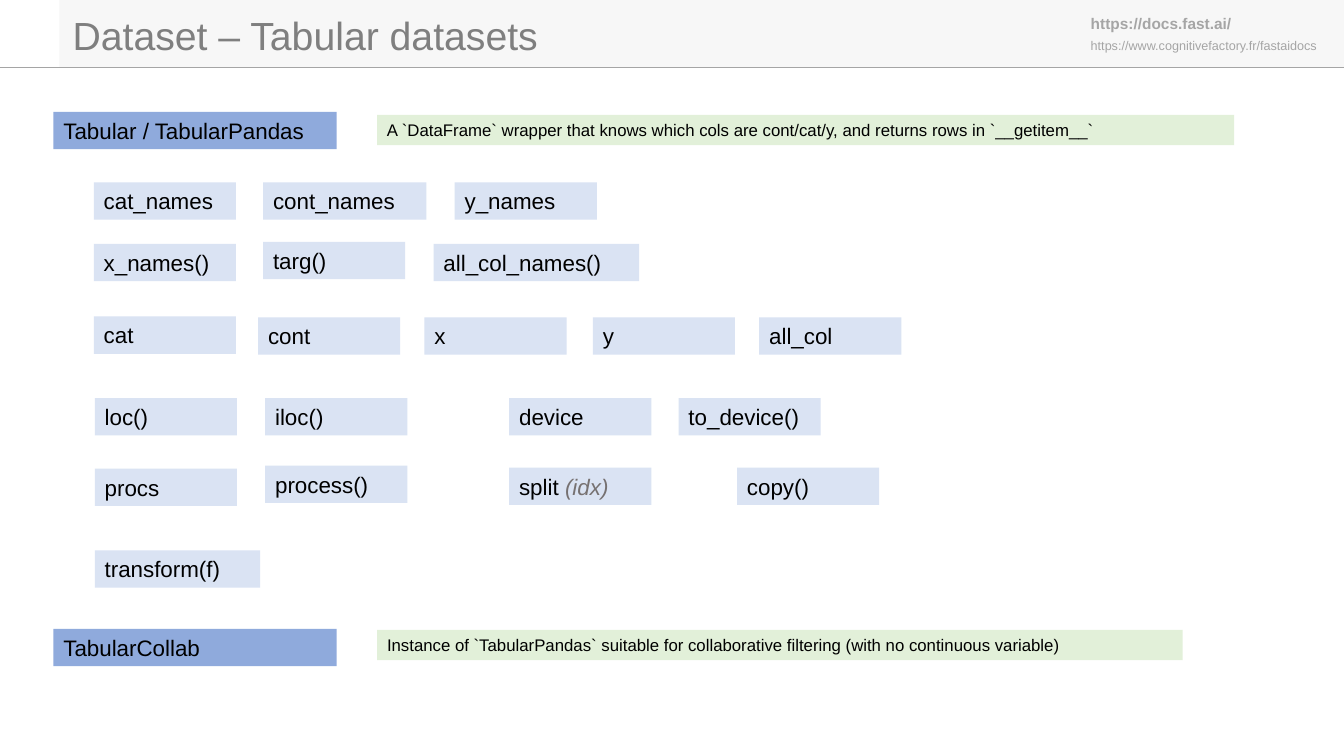
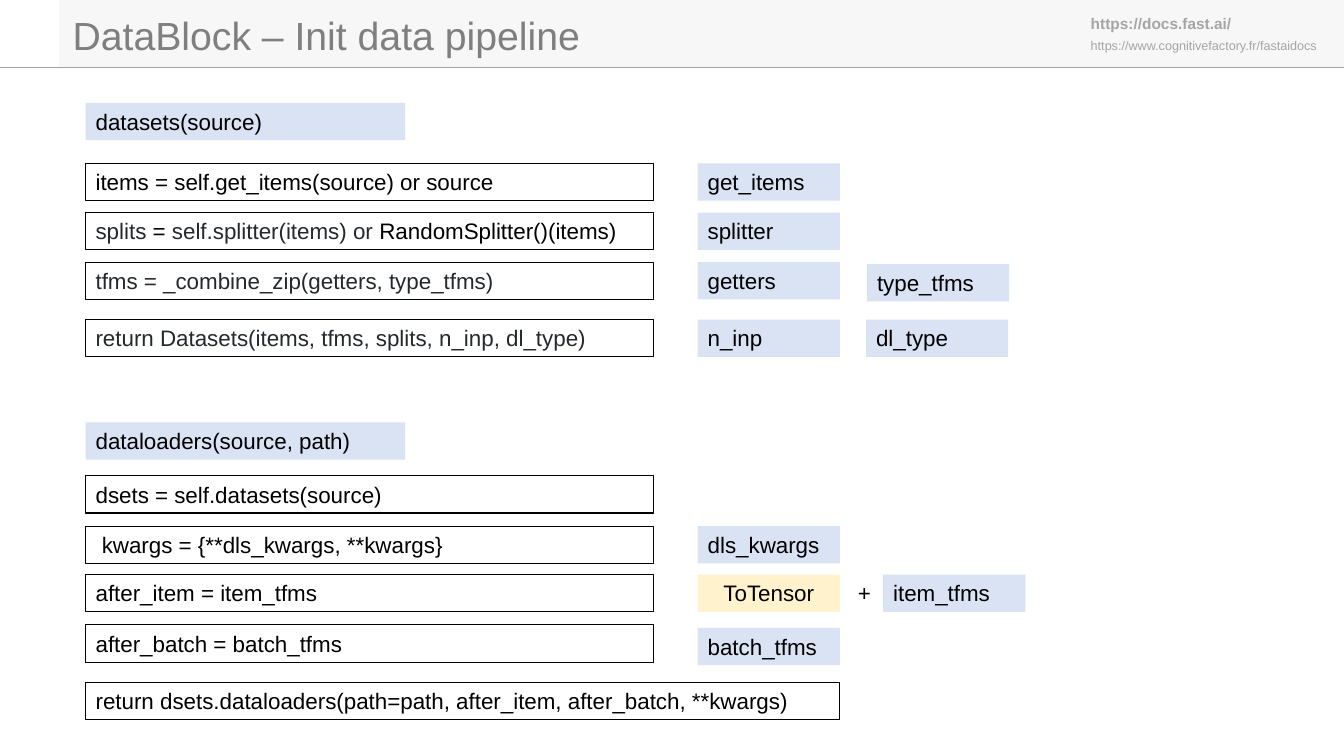
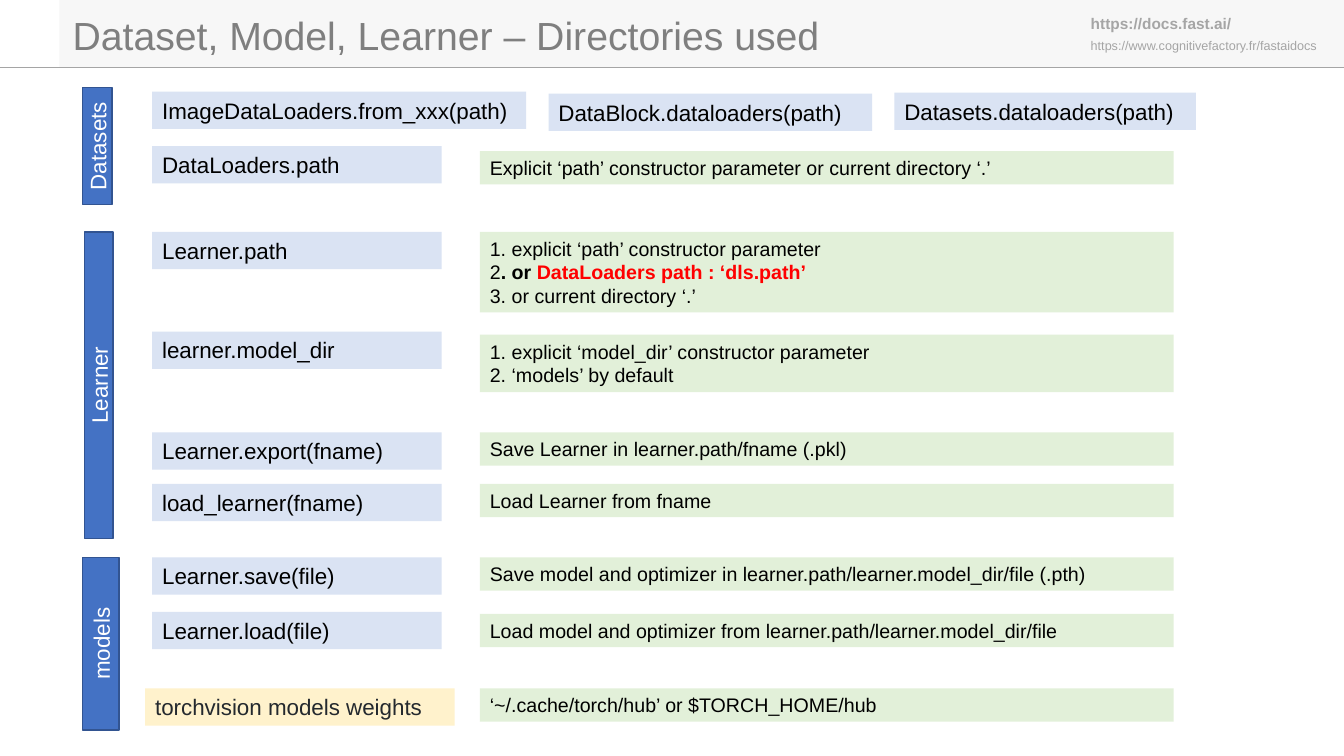
from dataclasses import dataclass
from typing import NamedTuple, Optional, Union

import lxml.etree
import pptx
import pptx.dml.color
import pptx.enum.shapes
import pptx.enum.text
import pptx.oxml.ns
import pptx.presentation
import pptx.shapes.autoshape
import pptx.slide
import pptx.text.text
import pptx.util

Inches = pptx.util.Inches
RGBColor = pptx.dml.color.RGBColor
Align = pptx.enum.text.PP_ALIGN
Anchor = pptx.enum.text.MSO_ANCHOR
AutoSize = pptx.enum.text.MSO_AUTO_SIZE

FONT = "Arial"
BLACK = RGBColor(0x00, 0x00, 0x00)
WHITE = RGBColor(0xFF, 0xFF, 0xFF)
CODE_INK = RGBColor(0x24, 0x29, 0x2E)
TITLE_GREY = RGBColor(0x7F, 0x7F, 0x7F)
LINK_GREY = RGBColor(0xA5, 0xA5, 0xA5)
HINT_GREY = RGBColor(0x76, 0x71, 0x71)
BAND_GREY = RGBColor(0xF7, 0xF7, 0xF7)
CLASS_BLUE = RGBColor(0x8F, 0xAA, 0xDC)
MEMBER_BLUE = RGBColor(0xDA, 0xE3, 0xF3)
NOTE_GREEN = RGBColor(0xE2, 0xF0, 0xD9)
EXTERNAL_YELLOW = RGBColor(0xFF, 0xF2, 0xCC)
TAB_BLUE = RGBColor(0x44, 0x72, 0xC4)
TAB_EDGE = RGBColor(0x32, 0x54, 0x91)
ALERT_RED = RGBColor(0xFF, 0x00, 0x00)

SLIDE_WIDTH = 13.33
BAND_HEIGHT = 0.67
MEMBER_WIDTH = 1.41


class Run(NamedTuple):
    text: str
    color: Optional[RGBColor] = None
    bold: Optional[bool] = None
    italic: Optional[bool] = None


Paragraph = Union[str, tuple[Run, ...]]


@dataclass(frozen=True)
class Style:
    fill: Optional[RGBColor] = None
    line: Optional[RGBColor] = None
    line_width: float = 0.75
    size: float = 16
    color: RGBColor = BLACK
    align: Align = Align.LEFT


@dataclass(frozen=True)
class Box:
    left: float
    top: float
    width: float
    paragraphs: tuple[Paragraph, ...]
    style: Style


class SideTab(NamedTuple):
    text: str
    left: float
    top: float
    width: float
    height: float


BAND = Style(fill=BAND_GREY)
CLASS = Style(fill=CLASS_BLUE)
MEMBER = Style(fill=MEMBER_BLUE)
SHORT_NOTE = Style(fill=NOTE_GREEN, size=12)
NOTE = Style(fill=NOTE_GREEN, size=14)
STATEMENT = Style(line=BLACK)
DARK_STATEMENT = Style(line=BLACK, color=CODE_INK)
TRANSFORM = Style(fill=EXTERNAL_YELLOW, align=Align.CENTER)
WEIGHTS = Style(fill=EXTERNAL_YELLOW, color=CODE_INK)
TAB = Style(fill=TAB_BLUE, line=TAB_EDGE, line_width=1, color=WHITE, align=Align.CENTER)


def write_text(
    frame: pptx.text.text.TextFrame,
    *paragraphs: Paragraph,
    size: float = 16,
    color: RGBColor = BLACK,
    bold: bool = False,
    align: Align = Align.LEFT,
    anchor: Anchor = Anchor.TOP,
    wrap: bool = True,
    grow: bool = True,
) -> None:
    frame.word_wrap = wrap
    frame.auto_size = AutoSize.SHAPE_TO_FIT_TEXT if grow else AutoSize.NONE
    frame.vertical_anchor = anchor
    for index, content in enumerate(paragraphs):
        paragraph = frame.add_paragraph() if index else frame.paragraphs[0]
        paragraph.alignment = align
        for part in (Run(content),) if isinstance(content, str) else content:
            run = paragraph.add_run()
            run.text = part.text
            font = run.font
            font.name = FONT
            font.size = pptx.util.Pt(size)
            font.color.rgb = part.color or color
            font.bold = bold if part.bold is None else part.bold
            font.italic = part.italic


def add_rectangle(
    slide: pptx.slide.Slide, left: float, top: float, width: float, height: float, style: Style
) -> pptx.shapes.autoshape.Shape:
    rectangle = slide.shapes.add_shape(
        pptx.enum.shapes.MSO_SHAPE.RECTANGLE,
        Inches(left), Inches(top), Inches(width), Inches(height),
    )
    rectangle.shadow.inherit = False
    if style.fill is None:
        rectangle.fill.background()
    else:
        rectangle.fill.solid()
        rectangle.fill.fore_color.rgb = style.fill
    if style.line is None:
        rectangle.line.fill.background()
    else:
        rectangle.line.color.rgb = style.line
        rectangle.line.width = pptx.util.Pt(style.line_width)
    return rectangle


def add_box(slide: pptx.slide.Slide, box: Box) -> None:
    style = box.style
    height = round(0.1 + len(box.paragraphs) * style.size * 1.2 / 72, 2)
    rectangle = add_rectangle(slide, box.left, box.top, box.width, height, style)
    write_text(
        rectangle.text_frame, *box.paragraphs,
        size=style.size, color=style.color, align=style.align,
    )


def add_side_tab(slide: pptx.slide.Slide, tab: SideTab) -> None:
    shift = (tab.height - tab.width) / 2
    rectangle = add_rectangle(
        slide, tab.left - shift, tab.top + shift, tab.height, tab.width, TAB
    )
    rectangle.rotation = 270
    write_text(
        rectangle.text_frame, tab.text,
        color=TAB.color, align=TAB.align, anchor=Anchor.MIDDLE, grow=False,
    )


def add_plain_text(
    slide: pptx.slide.Slide, text: str, left: float, top: float, width: float, height: float,
    size: float = 16, color: RGBColor = BLACK, bold: bool = False, wrap: bool = True,
) -> None:
    textbox = slide.shapes.add_textbox(
        Inches(left), Inches(top), Inches(width), Inches(height)
    )
    write_text(textbox.text_frame, text, size=size, color=color, bold=bold, wrap=wrap)


def furnish_layout(layout: pptx.slide.SlideLayout, slide: pptx.slide.Slide) -> None:
    title_type = pptx.enum.shapes.PP_PLACEHOLDER.TITLE
    for placeholder in list(layout.placeholders):
        if placeholder.placeholder_format.type != title_type:
            layout.shapes.element.remove(placeholder.element)
    add_rectangle(slide, 0.59, 0, SLIDE_WIDTH - 0.59, BAND_HEIGHT, BAND)
    rule = slide.shapes.add_connector(
        pptx.enum.shapes.MSO_CONNECTOR.STRAIGHT,
        Inches(0), Inches(BAND_HEIGHT), Inches(SLIDE_WIDTH), Inches(BAND_HEIGHT),
    )
    rule.line.color.rgb = LINK_GREY
    rule.line.width = pptx.util.Pt(0.5)
    lxml.etree.SubElement(rule.element.spPr, pptx.oxml.ns.qn("a:effectLst"))
    add_plain_text(
        slide, "https://www.cognitivefactory.fr/fastaidocs",
        10.72, 0.33, 2.7, 0.25, size=9, color=LINK_GREY,
    )
    add_plain_text(
        slide, "https://docs.fast.ai/",
        10.72, 0.09, 2.67, 0.29, size=11, color=LINK_GREY, bold=True,
    )
    for shape in list(slide.shapes):
        if not shape.is_placeholder:
            layout.shapes.element.append(shape.element)


def add_titled_slide(
    deck: pptx.presentation.Presentation, text: str, width: float
) -> pptx.slide.Slide:
    layout = deck.slide_layouts[5]
    slide = deck.slides.add_slide(layout)
    if len(deck.slides) == 1:
        furnish_layout(layout, slide)
    title = slide.shapes.title
    title.left, title.top = Inches(0.62), Inches(0.06)
    title.width, title.height = Inches(width), Inches(0.57)
    write_text(title.text_frame, text, size=28, color=TITLE_GREY, wrap=False)
    return slide


def build_tabular(deck: pptx.presentation.Presentation) -> None:
    slide = add_titled_slide(deck, "Dataset – Tabular datasets", 4.87)
    classes = [
        ("Tabular / TabularPandas", 1.11, 1.14, 8.5,
         "A `DataFrame` wrapper that knows which cols are cont/cat/y, "
         "and returns rows in `__getitem__`"),
        ("TabularCollab", 6.24, 6.25, 7.99,
         "Instance of `TabularPandas` suitable for collaborative filtering "
         "(with no continuous variable)"),
    ]
    for name, top, note_top, note_width, note in classes:
        add_box(slide, Box(0.53, top, 2.81, (name,), CLASS))
        add_box(slide, Box(3.74, note_top, note_width, (note,), SHORT_NOTE))

    split = (Run("split "), Run("(idx)", color=HINT_GREY, italic=True))
    members = [
        ("cat_names", 0.93, 1.81, MEMBER_WIDTH),
        ("cont_names", 2.61, 1.81, 1.62),
        ("y_names", 4.51, 1.81, MEMBER_WIDTH),
        ("x_names()", 0.93, 2.42, MEMBER_WIDTH),
        ("targ()", 2.61, 2.4, MEMBER_WIDTH),
        ("all_col_names()", 4.3, 2.42, 2.04),
        ("cat", 0.93, 3.14, MEMBER_WIDTH),
        ("cont", 2.56, 3.15, MEMBER_WIDTH),
        ("x", 4.21, 3.15, MEMBER_WIDTH),
        ("y", 5.88, 3.15, MEMBER_WIDTH),
        ("all_col", 7.53, 3.15, MEMBER_WIDTH),
        ("loc()", 0.94, 3.95, MEMBER_WIDTH),
        ("iloc()", 2.63, 3.95, MEMBER_WIDTH),
        ("device", 5.05, 3.95, MEMBER_WIDTH),
        ("to_device()", 6.73, 3.95, MEMBER_WIDTH),
        ("procs", 0.94, 4.65, MEMBER_WIDTH),
        ("process()", 2.63, 4.62, MEMBER_WIDTH),
        (split, 5.05, 4.64, MEMBER_WIDTH),
        ("copy()", 7.31, 4.64, MEMBER_WIDTH),
        ("transform(f)", 0.94, 5.46, 1.64),
    ]
    for member, left, top, width in members:
        add_box(slide, Box(left, top, width, (member,), MEMBER))


def build_pipeline(deck: pptx.presentation.Presentation) -> None:
    slide = add_titled_slide(deck, "DataBlock – Init data pipeline", 5.3)
    for method, top in [("datasets(source)", 1.02), ("dataloaders(source, path)", 4.19)]:
        add_box(slide, Box(0.85, top, 3.17, (method,), MEMBER))

    splits = (
        Run("splits "),
        Run("= ", color=BLACK),
        Run("self.splitter(items) or "),
        Run("RandomSplitter()(items)", color=BLACK),
    )
    statements = [
        ("items = self.get_items(source) or source", 1.62, 5.63, STATEMENT),
        (splits, 2.11, 5.63, DARK_STATEMENT),
        ("tfms = _combine_zip(getters, type_tfms)", 2.6, 5.63, DARK_STATEMENT),
        ("return Datasets(items, tfms, splits, n_inp, dl_type)", 3.17, 5.63, DARK_STATEMENT),
        ("dsets = self.datasets(source)", 4.72, 5.63, STATEMENT),
        (" kwargs = {**dls_kwargs, **kwargs}", 5.22, 5.63, STATEMENT),
        ("after_item = item_tfms", 5.7, 5.63, STATEMENT),
        ("after_batch = batch_tfms", 6.2, 5.63, STATEMENT),
        ("return dsets.dataloaders(path=path, after_item, after_batch, **kwargs)",
         6.77, 7.48, STATEMENT),
    ]
    for statement, top, width, style in statements:
        add_box(slide, Box(0.85, top, width, (statement,), style))

    parameters = [
        ("get_items", 6.92, 1.62, MEMBER),
        ("splitter", 6.92, 2.11, MEMBER),
        ("getters", 6.92, 2.6, MEMBER),
        ("type_tfms", 8.6, 2.62, MEMBER),
        ("n_inp", 6.92, 3.17, MEMBER),
        ("dl_type", 8.59, 3.17, MEMBER),
        ("dls_kwargs", 6.92, 5.22, MEMBER),
        ("ToTensor", 6.92, 5.7, TRANSFORM),
        ("item_tfms", 8.76, 5.7, MEMBER),
        ("batch_tfms", 6.92, 6.23, MEMBER),
    ]
    for parameter, left, top, style in parameters:
        add_box(slide, Box(left, top, MEMBER_WIDTH, (parameter,), style))
    add_plain_text(slide, "+", 8.41, 5.7, 0.33, 0.37, wrap=False)


def build_directories(deck: pptx.presentation.Presentation) -> None:
    slide = add_titled_slide(deck, "Dataset, Model, Learner – Directories used", 7.7)
    side_tabs = [
        SideTab("Datasets", 0.82, 0.87, 0.29, 1.16),
        SideTab("Learner", 0.84, 2.3, 0.28, 3.04),
        SideTab("models", 0.82, 5.53, 0.36, 1.71),
    ]
    for tab in side_tabs:
        add_side_tab(slide, tab)

    constructors = [
        ("ImageDataLoaders.from_xxx(path)", 1.51, 0.91, 3.71),
        ("DataBlock.dataloaders(path)", 5.44, 0.93, 3.21),
        ("Datasets.dataloaders(path)", 8.87, 0.92, 2.99),
    ]
    for constructor, left, top, width in constructors:
        add_box(slide, Box(left, top, width, (constructor,), MEMBER))

    learner_path_rules = (
        "1. explicit ‘path’ constructor parameter",
        (
            Run("2"),
            Run(". or ", bold=True),
            Run("DataLoaders path : ‘dls.path’", color=ALERT_RED, bold=True),
        ),
        "3. or current directory ‘.’",
    )
    model_dir_rules = (
        "1. explicit ‘model_dir’ constructor parameter",
        "2. ‘models’ by default",
    )
    locations = [
        ("DataLoaders.path", 1.45, 1.5,
         ("Explicit ‘path’ constructor parameter or current directory ‘.’",)),
        ("Learner.path", 2.3, 2.3, learner_path_rules),
        ("learner.model_dir", 3.29, 3.32, model_dir_rules),
        ("Learner.export(fname)", 4.29, 4.29, ("Save Learner in learner.path/fname (.pkl)",)),
        ("load_learner(fname)", 4.8, 4.8, ("Load Learner from fname",)),
        ("Learner.save(file)", 5.53, 5.53,
         ("Save model and optimizer in learner.path/learner.model_dir/file (.pth)",)),
        ("Learner.load(file)", 6.07, 6.09,
         ("Load model and optimizer from learner.path/learner.model_dir/file",)),
    ]
    for member, top, note_top, notes in locations:
        add_box(slide, Box(1.51, top, 2.87, (member,), MEMBER))
        add_box(slide, Box(4.76, note_top, 6.88, notes, NOTE))
    add_box(slide, Box(1.44, 6.83, 3.07, ("torchvision models weights",), WEIGHTS))
    add_box(slide, Box(4.76, 6.83, 6.88, ("‘~/.cache/torch/hub’ or $TORCH_HOME/hub",), NOTE))


def main() -> None:
    deck = pptx.Presentation()
    deck.slide_width = Inches(SLIDE_WIDTH)
    deck.slide_height = Inches(7.5)
    build_tabular(deck)
    build_pipeline(deck)
    build_directories(deck)
    deck.save("out.pptx")


if __name__ == "__main__":
    main()
